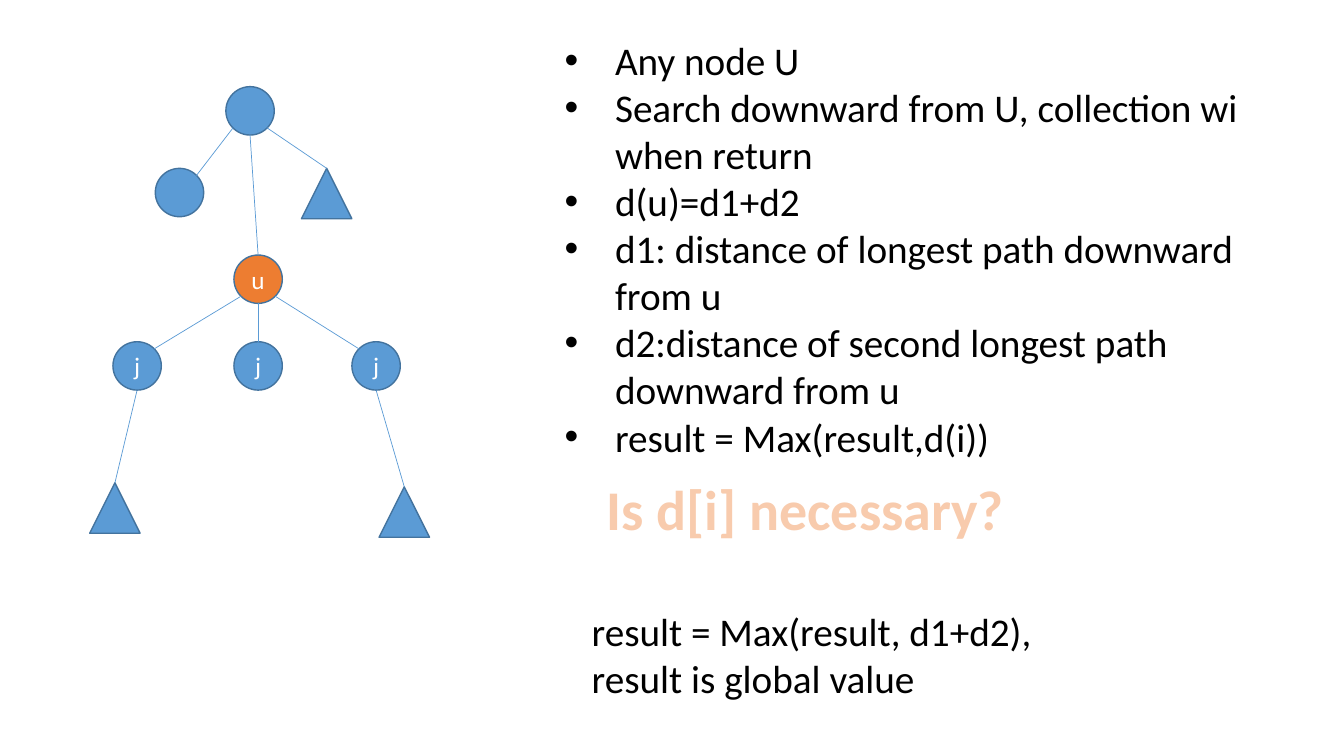
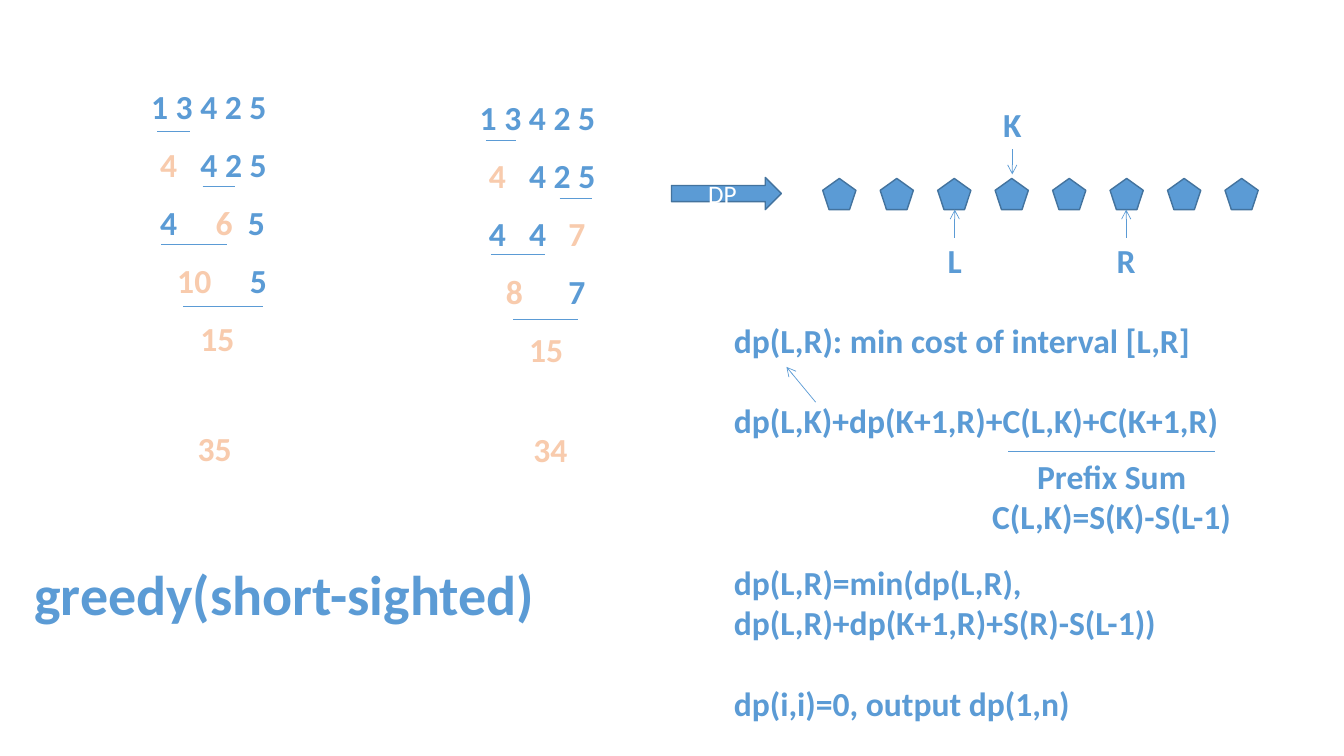
import lxml.etree
import pptx
import pptx.dml.color
import pptx.enum.shapes
import pptx.enum.text
import pptx.oxml.ns
import pptx.util

Inches = pptx.util.Inches
Pt = pptx.util.Pt
SHAPE = pptx.enum.shapes.MSO_SHAPE
ALIGN = pptx.enum.text.PP_ALIGN
qn = pptx.oxml.ns.qn

BLUE = "5B9BD5"
EDGE = "43739E"
ORANGE = "ED7D31"
PEACH = "F8CBAD"
BLACK = "000000"
WHITE = "FFFFFF"


def color(value):
    return pptx.dml.color.RGBColor.from_string(value)


def write(p, text, size=24, fill=BLUE, bold=True, outline=None):
    r = p.add_run()
    r.text = text
    r.font.name = "Calibri"
    r.font.size = Pt(size)
    r.font.bold = bold
    r.font.color.rgb = color(fill)
    if outline:
        ln = lxml.etree.Element(qn("a:ln"), w=str(Pt(1.75)))
        solid = lxml.etree.SubElement(ln, qn("a:solidFill"))
        lxml.etree.SubElement(solid, qn("a:srgbClr"), val=outline)
        r._r.get_or_add_rPr().insert(0, ln)


def spot(sp, fx, fy):
    return sp.left + int(sp.width * fx), sp.top + int(sp.height * fy)


class Deck:
    accent = {"fill": PEACH, "outline": ORANGE}
    note = {"size": 28, "fill": BLACK, "bold": False}

    def __init__(self):
        self.prs = pptx.Presentation()
        self.prs.slide_width = Inches(13.33)
        self.prs.slide_height = Inches(7.5)

    def new_slide(self, layout):
        self.s = self.prs.slides.add_slide(self.prs.slide_layouts[layout])

    def place(self, sp, x, y, w, h, wrap):
        sp.left, sp.top, sp.width, sp.height = map(Inches, (x, y, w, h))
        tf = sp.text_frame
        tf.word_wrap = wrap
        tf.auto_size = pptx.enum.text.MSO_AUTO_SIZE.NONE
        return tf

    def title(self, text, x, y, w, **fmt):
        tf = self.place(self.s.shapes.title, x, y, w, 0.77, False)
        p = tf.paragraphs[0]
        p.alignment = ALIGN.CENTER
        write(p, text, size=40, **fmt)

    def bullets(self, items, x, y, w, h):
        tf = self.place(self.s.placeholders[1], x, y, w, h, True)
        for i, item in enumerate(items):
            p = tf.paragraphs[0] if i == 0 else tf.add_paragraph()
            pPr = p._p.get_or_add_pPr()
            pPr.set("marL", str(Inches(0.5)))
            pPr.set("indent", str(-Inches(0.5)))
            p.space_before = Pt(0)
            write(p, item, **self.note)

    def text(self, lines, x, y, w, h=0.5, align=ALIGN.CENTER, wrap=False, gaps=(), **fmt):
        sp = self.s.shapes.add_textbox(0, 0, 0, 0)
        tf = self.place(sp, x, y, w, h, wrap)
        for i, line in enumerate(lines):
            p = tf.paragraphs[0] if i == 0 else tf.add_paragraph()
            p.alignment = align
            if i and gaps:
                p.space_before = Pt(gaps[i - 1])
            write(p, line, **fmt)

    def trace(self, rows, x, y):
        sp = self.s.shapes.add_textbox(0, 0, 0, 0)
        tf = self.place(sp, x, y, 1.7, 2.8, True)
        for i, row in enumerate(rows):
            p = tf.paragraphs[0] if i == 0 else tf.add_paragraph()
            tabs = lxml.etree.SubElement(p._p.get_or_add_pPr(), qn("a:tabLst"))
            for offset, value, merged in row:
                tab = ""
                if offset:
                    lxml.etree.SubElement(tabs, qn("a:tab"), pos=str(Inches(offset)), algn="l")
                    tab = "\t"
                write(p, tab + value, **(self.accent if merged else {}))
            if i:
                p.space_before = Pt(12.6)

    def shape(self, kind, x, y, w, h, text="", fill=BLUE):
        sp = self.s.shapes.add_shape(kind, *map(Inches, (x, y, w, h)))
        sp.shadow.inherit = False
        sp.fill.solid()
        sp.fill.fore_color.rgb = color(fill)
        sp.line.color.rgb = color(EDGE)
        sp.line.width = Pt(1)
        if text:
            tf = sp.text_frame
            tf.vertical_anchor = pptx.enum.text.MSO_ANCHOR.MIDDLE
            p = tf.paragraphs[0]
            p.alignment = ALIGN.CENTER
            write(p, text, size=18, fill=WHITE, bold=False)
        return sp

    def node(self, x, y, text="", fill=BLUE):
        return self.shape(SHAPE.OVAL, x, y, 0.48, 0.48, text, fill)

    def subtree(self, x, y):
        return self.shape(SHAPE.ISOSCELES_TRIANGLE, x, y, 0.5, 0.5)

    def connect(self, start, end, arrow=False):
        cn = self.s.shapes.add_connector(pptx.enum.shapes.MSO_CONNECTOR.STRAIGHT, *start, *end)
        cn.line.color.rgb = color(BLUE)
        cn.line.width = Pt(0.5)
        if arrow:
            lxml.etree.SubElement(cn.line._get_or_add_ln(), qn("a:tailEnd"), type="arrow")
        lxml.etree.SubElement(cn._element.spPr, qn("a:effectLst"))
        return cn

    def line(self, x1, y1, x2, y2, arrow=False):
        self.connect((Inches(x1), Inches(y1)), (Inches(x2), Inches(y2)), arrow)

    def edge(self, parent, start, child, end):
        cn = self.connect(spot(parent, *start), spot(child, *end))
        if end == (0.5, 0):
            cn.end_connect(child, 0)


def tree_slide(deck):
    deck.new_slide(1)
    root = deck.node(2.24, 0.86)
    sibling = deck.node(1.54, 1.67)
    u = deck.node(2.32, 2.53, "u", ORANGE)
    left, middle, right = [deck.node(x, 3.39, "j") for x in (1.12, 2.32, 3.49)]
    branch = deck.subtree(2.99, 1.67)
    left_leaf = deck.subtree(0.89, 4.79)
    right_leaf = deck.subtree(3.76, 4.83)

    top, bottom = (0.5, 0), (0.5, 1)
    top_left, top_right = (0.15, 0.15), (0.85, 0.15)
    bottom_left, bottom_right = (0.15, 0.85), (0.85, 0.85)
    for link in [
        (root, bottom_left, sibling, top_right),
        (root, bottom_right, branch, top),
        (root, bottom, u, top),
        (u, bottom_left, left, top_right),
        (u, bottom, middle, top),
        (u, bottom_right, right, top_left),
        (left, bottom, left_leaf, top),
        (right, bottom, right_leaf, top),
    ]:
        deck.edge(*link)

    deck.bullets([
        "Any node U",
        "Search downward from U, collection wi when return",
        "d(u)=d1+d2",
        "d1: distance of longest path downward from u",
        "d2:distance of second longest path downward from u",
        "result = Max(result,d(i))",
    ], 5.5, 0.31, 7.36, 4.34)
    deck.title("Is d[i] necessary?", 5.49, 4.66, 5, **deck.accent)
    deck.text(["result = Max(result, d1+d2), result is global value"],
              5.77, 5.98, 5.52, 1.04, align=ALIGN.LEFT, wrap=True, **deck.note)


def interval_slide(deck):
    deck.new_slide(5)
    first_rows = [[(0, "1 3 4 2 5", False)], [(0.09, "4", True), (0.49, "4 2 5", False)]]
    last_row = [(0.49, "15", True)]
    deck.trace(first_rows + [
        [(0.09, "4", False), (0.64, "6", True), (0.96, "5", False)],
        [(0.26, "10", True), (0.98, "5", False)],
        last_row,
    ], 1.4, 0.8)
    deck.trace(first_rows + [
        [(0.09, "4", False), (0.49, "4", False), (0.88, "7", True)],
        [(0.26, "8", True), (0.88, "7", False)],
        last_row,
    ], 4.66, 0.91)
    for x1, x2, y in [
        (1.56, 1.88, 1.3), (2.01, 2.33, 1.85), (1.6, 2.25, 2.42), (1.82, 2.61, 3.04),
        (4.82, 5.12, 1.39), (5.55, 5.87, 1.97), (4.87, 5.41, 2.52), (5.09, 5.73, 3.17),
        (10, 12.05, 4.48),
    ]:
        deck.line(x1, y, x2, y)
    deck.text(["35"], 1.86, 4.2, 0.54, **deck.accent)
    deck.text(["34"], 5.19, 4.21, 0.54, **deck.accent)
    deck.title("greedy(short-sighted)", 0.12, 5.5, 5.4)

    deck.shape(SHAPE.RIGHT_ARROW, 6.66, 1.76, 1.09, 0.32, "DP")
    for i in range(8):
        deck.shape(SHAPE.REGULAR_PENTAGON, 8.16 + 0.57 * i, 1.77, 0.33, 0.31)
    for label, x, y, start, end in [
        ("L", 9.47, 2.33, 2.36, 2.08),
        ("R", 11.17, 2.33, 2.36, 2.08),
        ("K", 10.04, 0.98, 1.48, 1.73),
    ]:
        deck.line(x, start, x, end, arrow=True)
        deck.text([label], x - 0.19, y, 0.38)

    blank = 28.9
    deck.text([
        "dp(L,R): min cost of interval [L,R]",
        "dp(L,K)+dp(K+1,R)+C(L,K)+C(K+1,R)",
        "dp(L,R)=min(dp(L,R),",
        "dp(L,R)+dp(K+1,R)+S(R)-S(L-1))",
        "dp(i,i)=0, output dp(1,n)",
    ], 7.18, 3.12, 5.6, 4.14, align=ALIGN.LEFT, wrap=True, gaps=(blank, 3 * blank, 0, blank))
    deck.line(8.09, 3.99, 7.8, 3.64, arrow=True)
    deck.text(["Prefix Sum", "C(L,K)=S(K)-S(L-1)"], 9.73, 4.47, 2.59, 0.91)


def main():
    deck = Deck()
    tree_slide(deck)
    interval_slide(deck)
    deck.prs.save("out.pptx")


if __name__ == "__main__":
    main()
